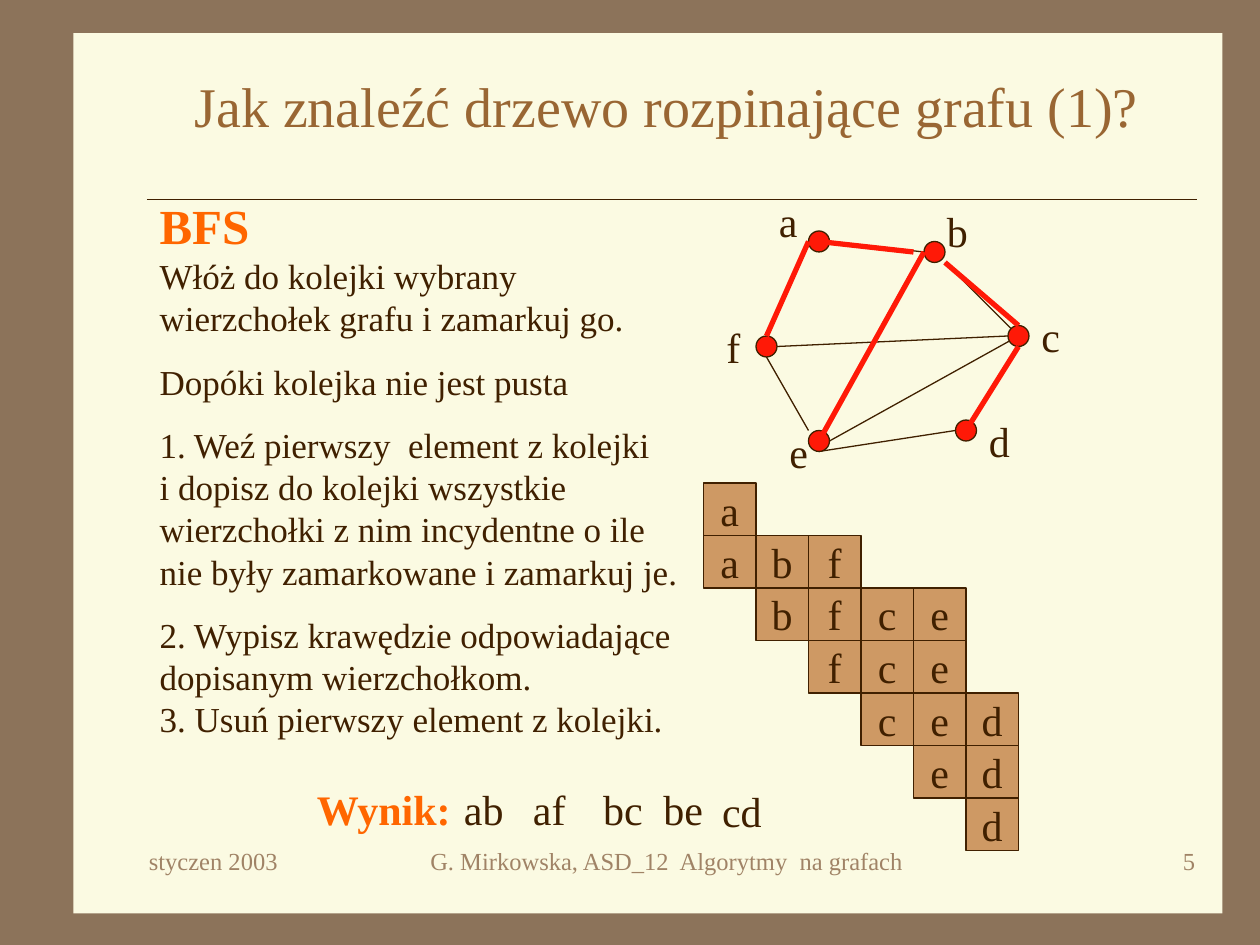
from copy import deepcopy

from lxml.etree import SubElement
from pptx import Presentation
from pptx.dml.color import RGBColor
from pptx.enum.shapes import MSO_CONNECTOR, MSO_SHAPE
from pptx.enum.text import MSO_ANCHOR, MSO_AUTO_SIZE, PP_ALIGN
from pptx.oxml.ns import qn
from pptx.util import Pt

FONT = "Times New Roman"
COLORS = {
    "background": "8C735A", "paper": "FBFAE2", "title": "996633", "accent": "FF6600",
    "ink": "402000", "cell": "CE9964", "red": "FF1907", "footer": "A08366",
}
UNIT = 6
CELL = 30
STEPS = [
    "BFS\vWłóż do kolejki wybrany wierzchołek grafu i zamarkuj go.",
    "Dopóki kolejka nie jest pusta",
    "1. Weź pierwszy  element z kolejki\vi dopisz do kolejki wszystkie wierzchołki "
    "z nim incydentne o ile nie były zamarkowane i zamarkuj je.",
    "2. Wypisz krawędzie odpowiadające dopisanym wierzchołkom.\v"
    "3. Usuń pierwszy element z kolejki.",
]
NODES = {"c": (29, 14), "e": (10, 24), "f": (5, 15), "b": (21, 6), "a": (10, 5), "d": (24, 23)}
LABELS = {"a": (5, 0), "b": (21, 1), "c": (30, 11), "d": (25, 21), "e": (6, 22), "f": (0, 12)}
EDGES = [
    (5, 14, 9, 5), (11, 5, 20, 6), (6, 15, 28, 14), (20, 6, 10, 24), (11, 24, 29, 14),
    (24, 23, 29, 15), (10, 25, 23, 23), (5, 16, 9, 23), (22, 7, 29, 14),
]
TREE_EDGES = [
    (22, 7, 29, 13), (19, 6, 10, 5), (9, 5, 5, 14), (20, 6, 10, 24), (29, 15, 24, 23),
]
QUEUE_ORDER = "abfced"
QUEUE_STATES = ["a", "abf", "bfce", "fce", "ced", "ed", "d"]
RESULT = [
    ("Wynik:", 0, 0, 102), ("ab", 84, 0, 54), ("af", 123.5, 0, 44.5),
    ("bc", 163.5, 0, 40.5), ("be", 198, 0, 42), ("cd", 231.5, 1.5, 39.5),
]


def rgb(name):
    """Return the named colour."""
    return RGBColor.from_string(COLORS[name])


def style(p, size, color, bold=False):
    """Format every run of a paragraph."""
    for r in p.runs:
        r.font.name, r.font.size, r.font.bold = FONT, Pt(size), bold
        r.font.color.rgb = rgb(color)


def place(sp, x, y, w, h):
    """Move and size a shape."""
    sp.left, sp.top, sp.width, sp.height = Pt(x), Pt(y), Pt(w), Pt(h)


def add_text(s, text, x, y, w, h, size=24, color="ink", align=PP_ALIGN.LEFT, bold=False):
    """Add a one-paragraph text box."""
    tf = s.shapes.add_textbox(Pt(x), Pt(y), Pt(w), Pt(h)).text_frame
    tf.word_wrap = True
    tf.text = text
    tf.paragraphs[0].alignment = align
    style(tf.paragraphs[0], size, color, bold)


def add_box(s, kind, x, y, w, h, fill, outline=True):
    """Add a flat filled shape."""
    sp = s.shapes.add_shape(kind, Pt(x), Pt(y), Pt(w), Pt(h))
    sp.shadow.inherit = False
    sp.fill.solid()
    sp.fill.fore_color.rgb = rgb(fill)
    if outline:
        sp.line.color.rgb = rgb("ink")
        sp.line.width = Pt(0.75)
    else:
        sp.line.fill.background()
    return sp


def add_line(s, x1, y1, x2, y2, color="ink", width=0.75):
    """Add a straight line without shadow."""
    sp = s.shapes.add_connector(MSO_CONNECTOR.STRAIGHT, Pt(x1), Pt(y1), Pt(x2), Pt(y2))
    sp.line.color.rgb = rgb(color)
    sp.line.width = Pt(width)
    SubElement(sp._element.spPr, qn("a:effectLst"))


def add_paper(s, x, y, w, h):
    """Draw the background, the paper sheet and the rule under the title."""
    s.background.fill.solid()
    s.background.fill.fore_color.rgb = rgb("background")
    add_box(s, MSO_SHAPE.RECTANGLE, x, y, w, h, "paper", outline=False)
    add_line(s, x + 42, y + 95, x + 642, y + 95)


def fill_title(sp, x, y, w, h):
    """Fill the title placeholder."""
    place(sp, x, y, w, h)
    tf = sp.text_frame
    tf.text = "Jak znaleźć drzewo rozpinające grafu (1)?"
    tf.auto_size = MSO_AUTO_SIZE.NONE
    tf.vertical_anchor = MSO_ANCHOR.MIDDLE
    tf.paragraphs[0].alignment = PP_ALIGN.CENTER
    style(tf.paragraphs[0], 32, "title")


def fill_steps(sp, x, y, w, h):
    """Fill the body placeholder with the steps of the algorithm."""
    place(sp, x, y, w, h)
    tf = sp.text_frame
    tf.auto_size = MSO_AUTO_SIZE.NONE
    for i, step in enumerate(STEPS):
        p = tf.add_paragraph() if i else tf.paragraphs[0]
        p.text = step
        p.space_before = Pt(12.5 if i else 0)
        pPr = p._p.get_or_add_pPr()
        pPr.set("marL", "0")
        pPr.set("indent", "0")
        SubElement(pPr, qn("a:buNone"))
        style(p, 20, "ink")
        if i == 0:
            heading = p.runs[0].font
            heading.size, heading.bold = Pt(28), True
            heading.color.rgb = rgb("accent")
        for br in p._p.findall(qn("a:br")):
            br.append(deepcopy(p.runs[0]._r.rPr))


def add_graph(s, x, y):
    """Draw the graph with its spanning tree."""
    def add_edges(edges, color, width):
        """Draw edges given in grid units."""
        for x1, y1, x2, y2 in edges:
            add_line(s, x + x1 * UNIT, y + y1 * UNIT, x + x2 * UNIT, y + y2 * UNIT, color, width)

    add_edges(EDGES, "ink", 0.75)
    for name, (col, row) in LABELS.items():
        add_text(s, name, x + col * UNIT, y + row * UNIT, 30, 36)
    for col, row in NODES.values():
        add_box(s, MSO_SHAPE.OVAL, x + (col - 1) * UNIT, y + (row - 1) * UNIT,
                2 * UNIT, 2 * UNIT, "red")
    add_edges(TREE_EDGES, "red", 3)


def add_queue(s, x, y):
    """Draw the successive states of the queue, one per row."""
    for row, state in enumerate(QUEUE_STATES):
        for name in state:
            col = QUEUE_ORDER.index(name)
            sp = add_box(s, MSO_SHAPE.RECTANGLE, x + col * CELL, y + row * CELL,
                         CELL, CELL, "cell")
            tf = sp.text_frame
            tf.word_wrap = False
            tf.vertical_anchor = MSO_ANCHOR.MIDDLE
            tf.text = name
            tf.paragraphs[0].alignment = PP_ALIGN.CENTER
            style(tf.paragraphs[0], 24, "ink")


def add_result(s, x, y):
    """Write the edges of the resulting tree after their heading."""
    for i, (text, dx, dy, w) in enumerate(RESULT):
        add_text(s, text, x + dx, y + dy, w, 36, color="ink" if i else "accent", bold=i == 0)


def add_footer(s, x, y, h):
    """Write the date, the lecture and the slide number."""
    for text, dx, w, align in [
        ("styczen 2003", 0, 150, PP_ALIGN.LEFT),
        ("G. Mirkowska, ASD_12  Algorytmy  na grafach", 144, 318, PP_ALIGN.CENTER),
        ("5", 462, 150, PP_ALIGN.RIGHT),
    ]:
        add_text(s, text, x + dx, y, w, h, 14, "footer", align)


def main():
    """Build and save the slide."""
    prs = Presentation()
    prs.slide_width, prs.slide_height = Pt(720), Pt(540)
    s = prs.slides.add_slide(prs.slide_layouts[1])
    title, body = s.placeholders
    add_paper(s, 42, 19, 656.5, 503)
    for sp in (title, body):
        s.shapes._spTree.append(sp._element)
    fill_title(title, 78, 36, 606, 48)
    fill_steps(body, 84, 108, 316, 319)
    add_graph(s, 408, 108)
    add_queue(s, 402, 276)
    add_result(s, 174, 444)
    add_footer(s, 78, 480, 36)
    prs.save("out.pptx")


if __name__ == "__main__":
    main()
